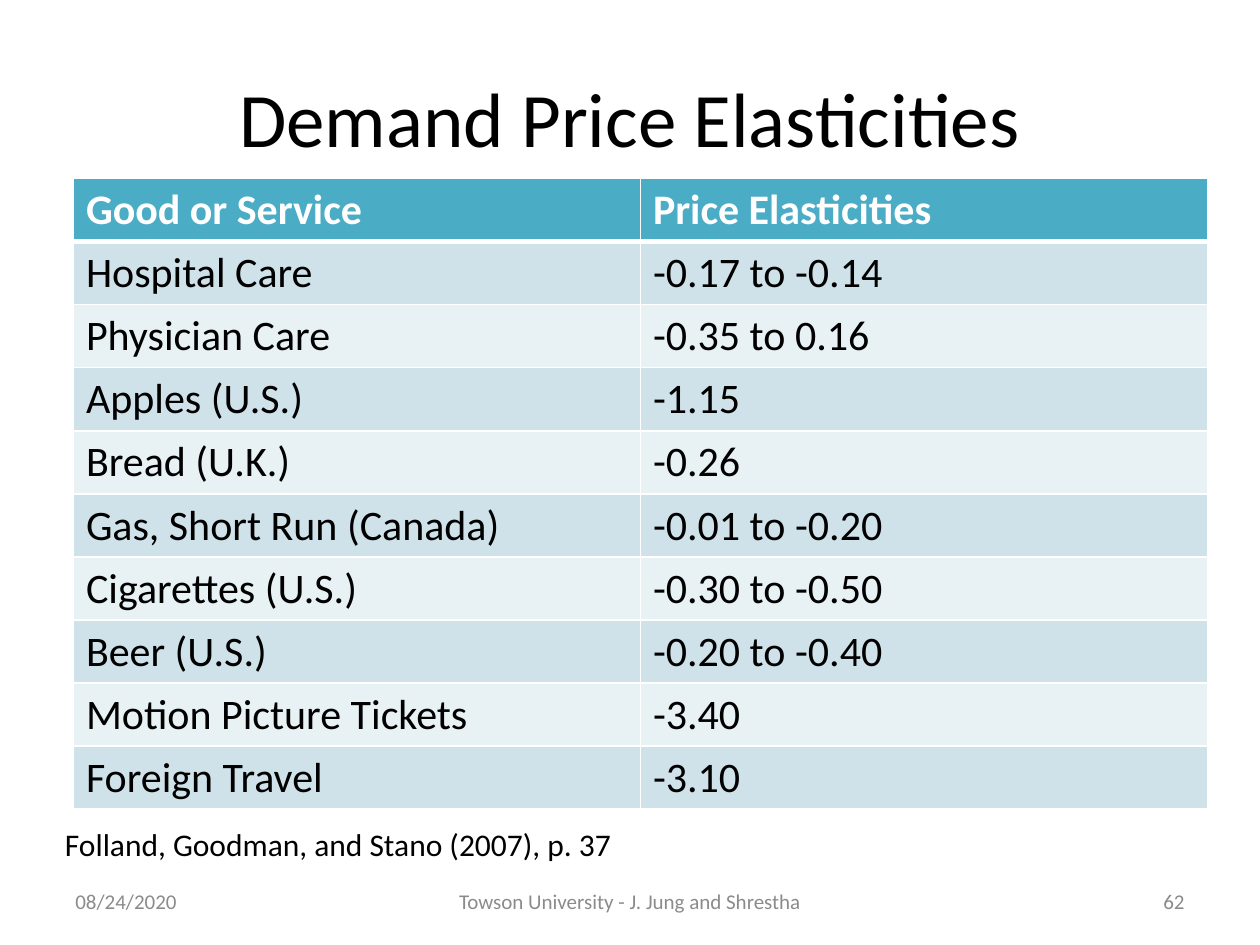
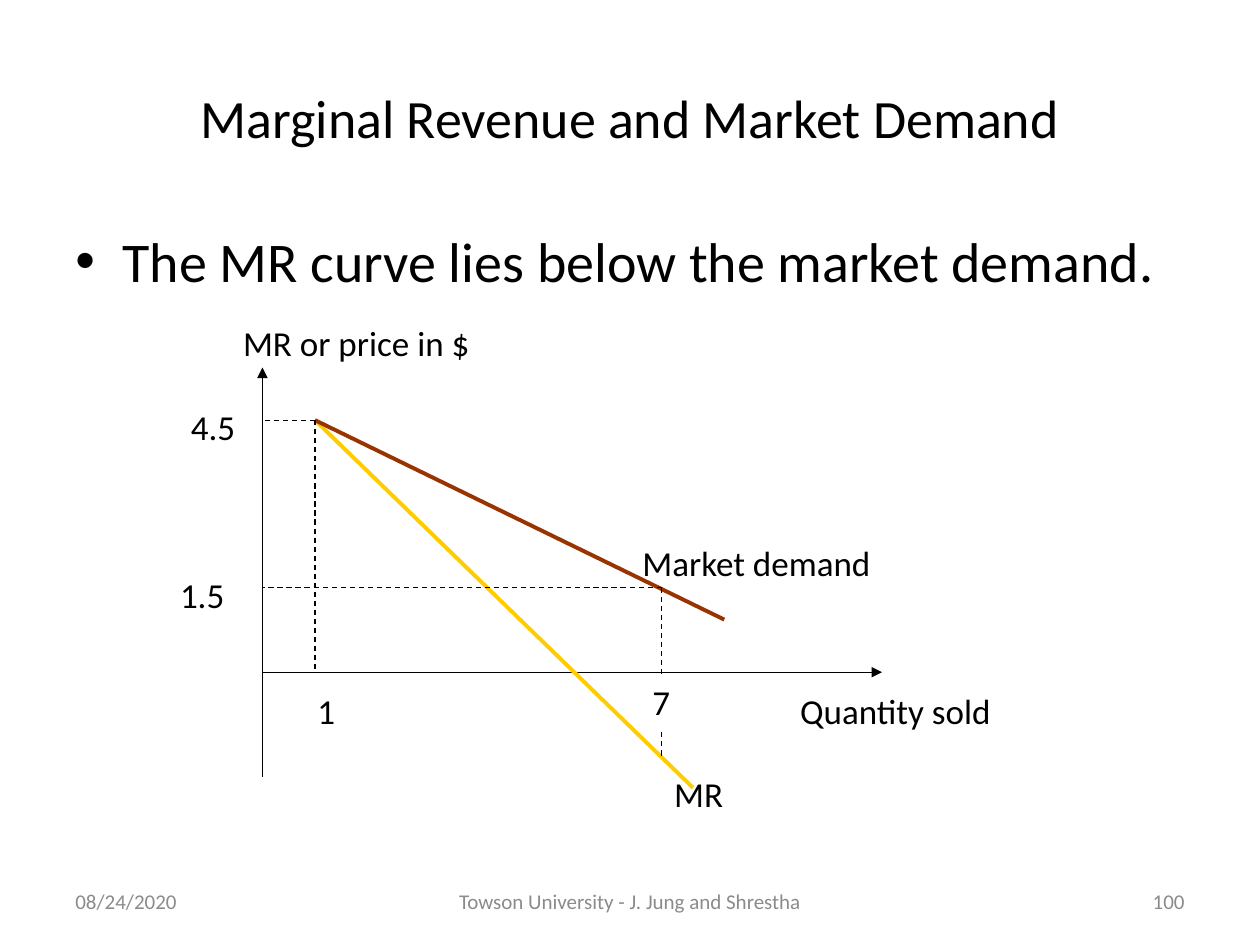
from dataclasses import dataclass

import lxml.etree
import pptx
import pptx.dml.color
import pptx.enum.dml
import pptx.enum.shapes
import pptx.enum.text
import pptx.oxml.ns
import pptx.oxml.xmlchemy
import pptx.presentation
import pptx.shapes.autoshape
import pptx.slide
import pptx.table
import pptx.text.text
import pptx.util

Cm = pptx.util.Cm
Pt = pptx.util.Pt
RGBColor = pptx.dml.color.RGBColor
Align = pptx.enum.text.PP_ALIGN
Anchor = pptx.enum.text.MSO_ANCHOR
qn = pptx.oxml.ns.qn

FONT = "Calibri"
BLACK = RGBColor(0x00, 0x00, 0x00)
WHITE = RGBColor(0xFF, 0xFF, 0xFF)
FOOTER_GREY = RGBColor(0x8B, 0x8B, 0x8B)
HEADER_TEAL = RGBColor(0x4B, 0xAC, 0xC6)
BAND_DARK = RGBColor(0xCF, 0xE2, 0xEA)
BAND_LIGHT = RGBColor(0xE8, 0xF1, 0xF4)
MR_YELLOW = RGBColor(0xFF, 0xCC, 0x00)
DEMAND_BROWN = RGBColor(0x99, 0x33, 0x00)

MARGIN = 1.27
CONTENT_WIDTH = 22.86
THIN_BORDER = 0.96
HEADER_BORDER = 3

ELASTICITIES = [
    ("Good or Service", "Price Elasticities"),
    ("Hospital Care", "-0.17 to -0.14"),
    ("Physician Care", "-0.35 to 0.16"),
    ("Apples (U.S.)", "-1.15"),
    ("Bread (U.K.)", "-0.26"),
    ("Gas, Short Run (Canada)", "-0.01 to -0.20"),
    ("Cigarettes (U.S.)", "-0.30 to -0.50"),
    ("Beer (U.S.)", "-0.20 to -0.40"),
    ("Motion Picture Tickets", "-3.40"),
    ("Foreign Travel", "-3.10"),
]

# Key positions in the graph, in centimetres
PRICE_AXIS_X = 5.29
QUANTITY_AXIS_Y = 13.55
ONE_X = 6.35
SEVEN_X = 13.34
HIGH_PRICE_Y = 8.47
LOW_PRICE_Y = 11.85
CURVE_START = (ONE_X, HIGH_PRICE_Y)


@dataclass(frozen=True)
class Label:
    """A piece of text and its frame, in centimetres."""
    text: str
    left: float
    top: float
    width: float
    height: float = 1.09
    size: float = 20
    color: RGBColor = BLACK
    align: Align = Align.LEFT
    anchor: Anchor = Anchor.TOP


@dataclass(frozen=True)
class Line:
    """A straight line between two points, in centimetres."""
    start: tuple[float, float]
    end: tuple[float, float]
    color: RGBColor = BLACK
    width: float = 0.75
    dashed: bool = False
    arrow: bool = False


AXES_AND_CURVES = [
    Line((PRICE_AXIS_X, 15.66), (PRICE_AXIS_X, 7.41), arrow=True),
    Line((PRICE_AXIS_X, QUANTITY_AXIS_Y), (17.78, QUANTITY_AXIS_Y), arrow=True),
    Line(CURVE_START, (13.97, 15.88), MR_YELLOW, 2.25),
    Line(CURVE_START, (14.6, 12.49), DEMAND_BROWN, 2.25),
]
GUIDES = [
    Line((SEVEN_X, LOW_PRICE_Y), (SEVEN_X, 15.24), dashed=True),
    Line(CURVE_START, (ONE_X, QUANTITY_AXIS_Y), dashed=True),
    Line((SEVEN_X, LOW_PRICE_Y), (PRICE_AXIS_X, LOW_PRICE_Y), dashed=True),
    Line(CURVE_START, (PRICE_AXIS_X, HIGH_PRICE_Y), dashed=True),
]
SEVEN_LABEL = Label("7", 12.9, 13.59, 1.07)
GRAPH_LABELS = [
    Label("4.5", 3.6, 8.05, 1.47),
    Label("MR or price in $", 4.65, 6.35, 8.26),
    Label("1.5", 3.38, 11.43, 1.9),
    Label("1", 6.15, 13.77, 1.9),
    Label("Market demand", 12.7, 10.8, 5.51),
    Label("MR", 13.34, 15.44, 4.65),
    Label("Quantity sold", 15.88, 13.77, 9.32),
]


def write_run(para: pptx.text.text._Paragraph, text: str, size: float,
              color: RGBColor, bold: bool = False) -> None:
    span = para.add_run()
    span.text = text
    span.font.name = FONT
    span.font.size = Pt(size)
    span.font.bold = bold
    span.font.color.rgb = color


def fill_text(box: pptx.shapes.autoshape.Shape, label: Label) -> pptx.text.text._Paragraph:
    frame = box.text_frame
    frame.word_wrap = True
    frame.vertical_anchor = label.anchor
    para = frame.paragraphs[0]
    para.alignment = label.align
    write_run(para, label.text, label.size, label.color)
    return para


def frame_of(label: Label) -> tuple[pptx.util.Length, ...]:
    return Cm(label.left), Cm(label.top), Cm(label.width), Cm(label.height)


def add_label(page: pptx.slide.Slide, label: Label) -> pptx.text.text._Paragraph:
    return fill_text(page.shapes.add_textbox(*frame_of(label)), label)


def add_masked_label(page: pptx.slide.Slide, label: Label) -> None:
    """Add a label on a white rectangle that hides the lines behind it."""
    box = page.shapes.add_shape(pptx.enum.shapes.MSO_SHAPE.RECTANGLE, *frame_of(label))
    box.shadow.inherit = False
    box.fill.solid()
    box.fill.fore_color.rgb = WHITE
    box.line.fill.background()
    fill_text(box, label)


def add_line(page: pptx.slide.Slide, line: Line) -> None:
    connector = page.shapes.add_connector(
        pptx.enum.shapes.MSO_CONNECTOR.STRAIGHT,
        *(Cm(value) for value in line.start + line.end))
    connector.line.color.rgb = line.color
    connector.line.width = Pt(line.width)
    if line.dashed:
        connector.line.dash_style = pptx.enum.dml.MSO_LINE.DASH
    properties = connector._element.spPr
    if line.arrow:
        lxml.etree.SubElement(properties.find(qn("a:ln")), qn("a:tailEnd"), type="triangle")
    lxml.etree.SubElement(properties, qn("a:effectLst"))


def set_borders(cell: pptx.table._Cell, top: float, bottom: float) -> None:
    """Give a cell white borders; top and bottom are widths in points."""
    properties = cell._tc.get_or_add_tcPr()
    widths = {"L": THIN_BORDER, "R": THIN_BORDER, "T": top, "B": bottom}
    for position, (side, width) in enumerate(widths.items()):
        border = lxml.etree.Element(qn(f"a:ln{side}"), w=str(Pt(width)))
        fill = lxml.etree.SubElement(border, qn("a:solidFill"))
        lxml.etree.SubElement(fill, qn("a:srgbClr"), val=str(WHITE))
        properties.insert(position, border)


def add_elasticity_table(page: pptx.slide.Slide) -> None:
    row_height = 1.25
    table = page.shapes.add_table(
        len(ELASTICITIES), 2, Cm(1.48), Cm(3.6),
        Cm(CONTENT_WIDTH), Cm(row_height * len(ELASTICITIES))).table
    for row_index, values in enumerate(ELASTICITIES):
        is_header = row_index == 0
        band = BAND_DARK if row_index % 2 else BAND_LIGHT
        for column_index, value in enumerate(values):
            cell = table.cell(row_index, column_index)
            cell.fill.solid()
            cell.fill.fore_color.rgb = HEADER_TEAL if is_header else band
            set_borders(cell,
                        top=HEADER_BORDER if row_index == 1 else THIN_BORDER,
                        bottom=HEADER_BORDER if is_header else THIN_BORDER)
            write_run(cell.text_frame.paragraphs[0], value, 24,
                      WHITE if is_header else BLACK, bold=is_header)


def add_bullet(page: pptx.slide.Slide, label: Label) -> None:
    para = add_label(page, label)
    properties = para._p.get_or_add_pPr()
    properties.set("marL", str(Cm(0.95)))
    properties.set("indent", str(Cm(-0.95)))
    lxml.etree.SubElement(properties, qn("a:buFont"), typeface="Arial")
    lxml.etree.SubElement(properties, qn("a:buChar"), char="•")


def add_page(deck: pptx.presentation.Presentation, title: str, title_size: float,
             number: int) -> pptx.slide.Slide:
    """Add a blank page with the shared title and footer row."""
    page = deck.slides.add_slide(deck.slide_layouts[6])
    add_label(page, Label(title, MARGIN, 0.76, CONTENT_WIDTH, 3.18, title_size,
                          align=Align.CENTER, anchor=Anchor.MIDDLE))
    footers = [
        ("08/24/2020", MARGIN, 5.93, Align.LEFT),
        ("Towson University - J. Jung and Shrestha", 8.68, 8.04, Align.CENTER),
        (str(number), 18.2, 5.93, Align.RIGHT),
    ]
    for text, left, width, align in footers:
        add_label(page, Label(text, left, 17.65, width, 1.02, 12, FOOTER_GREY,
                              align, Anchor.MIDDLE))
    return page


def build_elasticities(deck: pptx.presentation.Presentation) -> None:
    page = add_page(deck, "Demand Price Elasticities", 44, 62)
    add_elasticity_table(page)
    add_label(page, Label("Folland, Goodman, and Stano (2007), p. 37",
                          1.06, 16.51, 16.72, 1.02, 18))


def build_marginal_revenue(deck: pptx.presentation.Presentation) -> None:
    page = add_page(deck, "Marginal Revenue and Market Demand", 30.8, 100)
    add_bullet(page, Label("The MR curve lies below the market demand.",
                           MARGIN, 4.45, CONTENT_WIDTH, 1.9, 32))
    for line in AXES_AND_CURVES + GUIDES:
        add_line(page, line)
    add_masked_label(page, SEVEN_LABEL)
    for label in GRAPH_LABELS:
        add_label(page, label)


def main() -> None:
    deck = pptx.Presentation()
    deck.slide_width = Cm(25.4)
    deck.slide_height = Cm(19.05)
    build_elasticities(deck)
    build_marginal_revenue(deck)
    deck.save("out.pptx")


if __name__ == "__main__":
    main()
